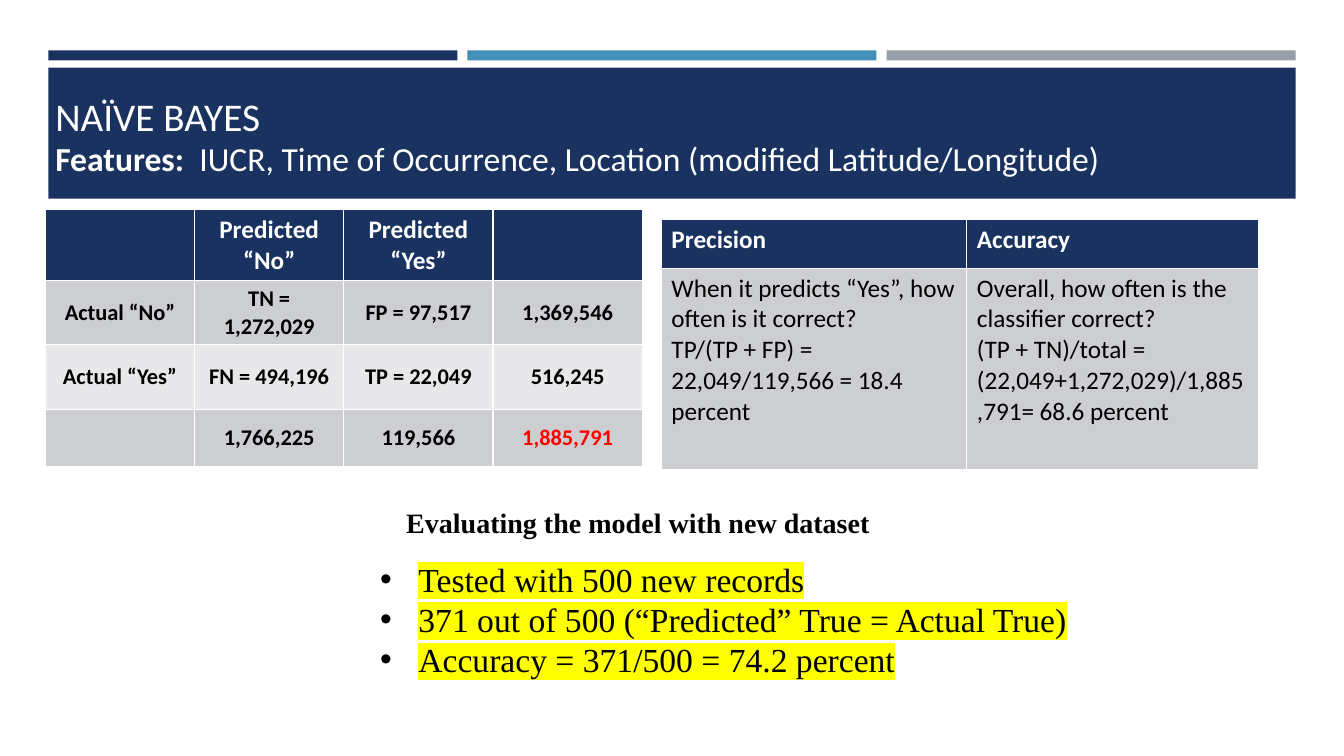
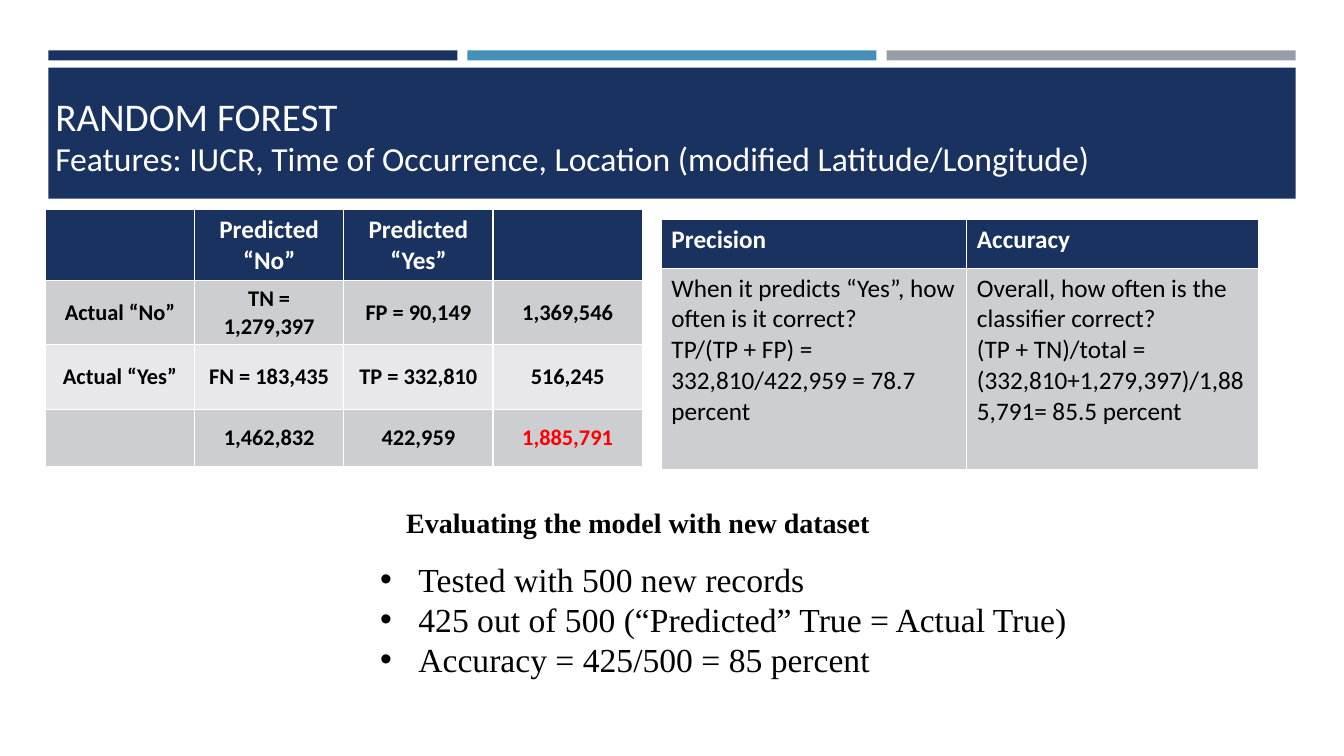
from dataclasses import dataclass

from lxml import etree
from pptx import Presentation
from pptx.dml.color import RGBColor
from pptx.enum.shapes import MSO_SHAPE
from pptx.enum.text import MSO_ANCHOR, MSO_AUTO_SIZE, PP_ALIGN
from pptx.oxml.ns import qn
from pptx.util import Inches, Pt

RECTANGLE = MSO_SHAPE.RECTANGLE
LEFT, CENTER = PP_ALIGN.LEFT, PP_ALIGN.CENTER
TOP, MIDDLE = MSO_ANCHOR.TOP, MSO_ANCHOR.MIDDLE
NO_AUTOFIT = MSO_AUTO_SIZE.NONE

NAVY, BLUE, GRAY = "1A3260", "4590B8", "969FA7"
BAND_DARK, BAND_LIGHT = "CDCED2", "E8E8EA"
WHITE, BLACK, RED, YELLOW = "FFFFFF", "000000", "FF0000", "FFFF00"
SANS, SERIF = "Calibri", "Times New Roman"
FEATURES = "IUCR, Time of Occurrence, Location (modified Latitude/Longitude)"


@dataclass
class Model:
    title: str
    features_label: str
    label_bold: bool
    matrix: list
    precision: str
    accuracy: str
    results: list
    highlight: str = ""


MODELS = [
    Model(
        title="NAÏVE BAYES",
        features_label="Features:  ",
        label_bold=True,
        matrix=[
            ["Actual “No”", "TN = 1,272,029", "FP = 97,517", "1,369,546"],
            ["Actual “Yes”", "FN = 494,196", "TP = 22,049", "516,245"],
            ["", "1,766,225", "119,566", "1,885,791"],
        ],
        precision="22,049/119,566 = 18.4 percent",
        accuracy="(22,049+1,272,029)/1,885,791= 68.6 percent",
        results=[
            "Tested with 500 new records",
            "371 out of 500 (“Predicted” True = Actual True)",
            "Accuracy = 371/500 = 74.2 percent",
        ],
        highlight=YELLOW,
    ),
    Model(
        title="RANDOM FOREST",
        features_label="Features: ",
        label_bold=False,
        matrix=[
            ["Actual “No”", "TN = 1,279,397", "FP = 90,149", "1,369,546"],
            ["Actual “Yes”", "FN = 183,435", "TP = 332,810", "516,245"],
            ["", "1,462,832", "422,959", "1,885,791"],
        ],
        precision="332,810/422,959 = 78.7 percent",
        accuracy="(332,810+1,279,397)/1,885,791= 85.5 percent",
        results=[
            "Tested with 500 new records",
            "425 out of 500 (“Predicted” True = Actual True)",
            "Accuracy = 425/500 = 85 percent",
        ],
    ),
]


def color(hex_value):
    return RGBColor.from_string(hex_value)


def set_font(font, name, size, hex_value, bold=False):
    font.name, font.size, font.bold = name, Pt(size), bold
    font.color.rgb = color(hex_value)


def place(shape, left, top, width, height):
    shape.left, shape.top = Inches(left), Inches(top)
    shape.width, shape.height = Inches(width), Inches(height)


def add_text_box(slide, left, top, width, height):
    box = slide.shapes.add_textbox(Inches(left), Inches(top), Inches(width), Inches(height))
    box.text_frame.word_wrap = True
    return box.text_frame.paragraphs[0]


def decorate_layout(layout, slide, left, top, width):
    """Draw the three bars and the title band, then move them to the layout."""
    gap = 0.1
    bar_width = (width - 2 * gap) / 3
    blocks = [(left + index * (bar_width + gap), top, bar_width, 0.1, fill)
              for index, fill in enumerate((NAVY, BLUE, GRAY))]
    blocks.append((left, top + 0.17, width, 1.3, NAVY))
    for index, (*box, fill) in enumerate(blocks):
        shape = slide.shapes.add_shape(RECTANGLE, *map(Inches, box))
        shape.shadow.inherit = False
        shape.fill.solid()
        shape.fill.fore_color.rgb = color(fill)
        shape.line.fill.background()
        shape.name = f"Header block {index + 1}"
        shape._element.nvSpPr.cNvPr.set("id", str(20 + index))
        layout.shapes._spTree.insert(2 + index, shape._element)


def add_heading(slide, model, left, top, width):
    # Title
    title = slide.shapes.title
    place(title, left, top, width, 0.6)
    frame = title.text_frame
    frame.text = model.title
    frame.auto_size = NO_AUTOFIT
    frame.vertical_anchor = MIDDLE
    frame.paragraphs[0].alignment = LEFT
    set_font(frame.paragraphs[0].font, SANS, 28, WHITE)

    # Feature line
    paragraph = add_text_box(slide, left, top + 0.47, width, 0.5)
    for text, bold in ((model.features_label, model.label_bold), (FEATURES, False)):
        run = paragraph.add_run()
        run.text = text
        set_font(run.font, SANS, 24, WHITE, bold)


def add_grid(slide, left, top, column_widths, row_heights):
    frame = slide.shapes.add_table(
        len(row_heights), len(column_widths), Inches(left), Inches(top),
        Inches(sum(column_widths)), Inches(sum(row_heights)))
    table = frame.table
    for column, width in zip(table.columns, column_widths):
        column.width = Inches(width)
    for row, height in zip(table.rows, row_heights):
        row.height = Inches(height)
    return table


def fill_cell(cell, text, fill, size, text_color, bold, alignment, anchor):
    cell.fill.solid()
    cell.fill.fore_color.rgb = color(fill)
    cell.vertical_anchor = anchor
    cell.text = text
    for paragraph in cell.text_frame.paragraphs:
        paragraph.alignment = alignment
        set_font(paragraph.font, SANS, size, text_color, bold)


def add_confusion_matrix(slide, model, left, top):
    table = add_grid(slide, left, top, [1.48] * 4, [0.69, 0.64, 0.64, 0.57])
    rows = [["", "Predicted “No”", "Predicted “Yes”", ""]] + model.matrix
    fills = [NAVY, BAND_DARK, BAND_LIGHT, BAND_DARK]
    last = (len(rows) - 1, len(rows[0]) - 1)
    for row_index, (texts, fill) in enumerate(zip(rows, fills)):
        header = row_index == 0
        for column_index, text in enumerate(texts):
            total = (row_index, column_index) == last
            text_color = WHITE if header else RED if total else BLACK
            fill_cell(table.cell(row_index, column_index), text, fill,
                      18 if header else 16, text_color, True, CENTER, MIDDLE)


def add_metrics(slide, model, left, top):
    table = add_grid(slide, left, top, [3.03, 2.89], [0.48, 2])
    metrics = [
        ("Precision", "When it predicts “Yes”, how often is it correct?\n"
                      f"TP/(TP + FP) = {model.precision}"),
        ("Accuracy", "Overall, how often is the classifier correct?\n"
                     f"(TP + TN)/total = {model.accuracy}"),
    ]
    for column_index, (name, formula) in enumerate(metrics):
        fill_cell(table.cell(0, column_index), name, NAVY, 18, WHITE, True, LEFT, TOP)
        fill_cell(table.cell(1, column_index), formula, BAND_DARK, 18, BLACK, False, LEFT, TOP)


def highlight_run(run, hex_value):
    highlight = etree.SubElement(run.font._element, qn("a:highlight"))
    etree.SubElement(highlight, qn("a:srgbClr"), val=hex_value)


def add_evaluation(slide, model, left, top, width):
    # Heading
    heading = add_text_box(slide, left + 0.26, top, 5.48, 0.44)
    heading.text = "Evaluating the model with new dataset"
    set_font(heading.font, SERIF, 20, BLACK, True)

    # Bulleted results
    body = slide.placeholders[1]
    place(body, left, top + 0.52, width, 1.31)
    frame = body.text_frame
    frame.text = "\n".join(model.results)
    frame.auto_size = NO_AUTOFIT
    for paragraph in frame.paragraphs:
        paragraph.space_before = Pt(0)
        set_font(paragraph.font, SERIF, 24, BLACK)
        properties = paragraph._p.get_or_add_pPr()
        properties.set("marL", str(Inches(0.38)))
        properties.set("indent", str(-Inches(0.38)))
        if model.highlight:
            highlight_run(paragraph.runs[0], model.highlight)


def add_model_slide(slide, model):
    add_heading(slide, model, 0.45, 0.85, 11.9)
    add_confusion_matrix(slide, model, 0.45, 2.08)
    add_metrics(slide, model, 6.56, 2.18)
    add_evaluation(slide, model, 3.67, 4.97, 7.26)


def main():
    presentation = Presentation()
    presentation.slide_width, presentation.slide_height = Inches(13.33), Inches(7.5)
    layout = presentation.slide_layouts[1]
    slides = [presentation.slides.add_slide(layout) for _ in MODELS]
    decorate_layout(layout, slides[0], 0.48, 0.5, 12.37)
    for slide, model in zip(slides, MODELS):
        add_model_slide(slide, model)
    presentation.save("out.pptx")


if __name__ == "__main__":
    main()
